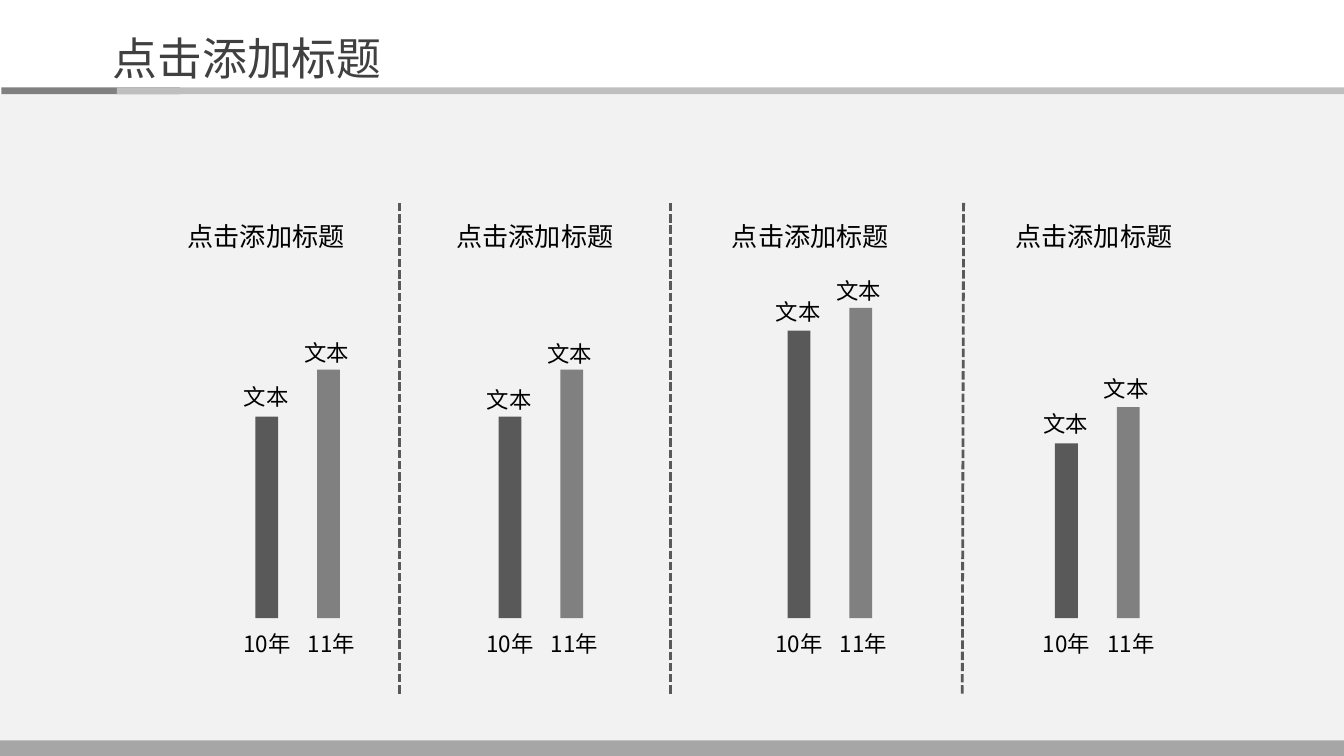
import pptx
import pptx.util
import pptx.dml.color
import pptx.enum.dml
import pptx.enum.shapes
import pptx.enum.text
import lxml.etree
from pptx.oxml.ns import qn

Inches = pptx.util.Inches
Pt = pptx.util.Pt
ALIGN = pptx.enum.text.PP_ALIGN
ANCHOR = pptx.enum.text.MSO_ANCHOR

HEADING = "点击添加标题"
BANDS = [
    (0, 0.7, 10, 4.92, "F2F2F2"),
    (0.01, 0.65, 1.33, 0.05, "808080"),
    (0.87, 0.65, 9.13, 0.05, "BFBFBF"),
    (-0.02, 5.51, 10.04, 0.12, "A6A6A6"),
]
DIVIDERS = [(4.99, 4.99), (7.17, 7.16), (2.97, 2.97)]
DIVIDER_TOP, DIVIDER_BOTTOM = 1.51, 5.17
SERIES = [("10年", "595959", 0.32), ("11年", "808080", 0.33)]
PANELS = [
    {"title": "点击添加标题", "left": 0.99, "bars": 1.9,
     "values": [("文本", 1.5, 2.8), ("文本", 1.85, 2.47)]},
    {"title": "点击添加标题", "left": 2.99, "bars": 3.71,
     "values": [("文本", 1.5, 2.82), ("文本", 1.85, 2.48)]},
    {"title": "点击添加标题", "left": 5.04, "bars": 5.86,
     "values": [("文本", 2.14, 2.17), ("文本", 2.31, 2.01)]},
    {"title": "点击添加标题", "left": 7.15, "bars": 7.85,
     "values": [("文本", 1.3, 3), ("文本", 1.57, 2.74)]},
]
BASELINE, BAR_WIDTH, BAR_STEP = 4.6, 0.17, 0.46
LABEL_WIDTH, YEAR_WIDTH, LABEL_HEIGHT = 0.8, 0.57, 0.3
YEAR_TOP, YEAR_SHIFT, YEAR_STEP = 4.64, 0.2, 0.48

HEADING_FONT = {"size": Pt(24), "name": "Noto Sans CJK JP"}
PANEL_FONT = {"size": Pt(14), "name": "Noto Sans CJK SC"}
LABEL_FONT = {"size": Pt(12), "name": "Noto Sans CJK SC"}
GROW = {"auto_size": pptx.enum.text.MSO_AUTO_SIZE.SHAPE_TO_FIT_TEXT}
HEADING_FRAME = {**GROW, "word_wrap": False, "vertical_anchor": ANCHOR.TOP}
PANEL_FRAME = {**GROW, "word_wrap": True, "vertical_anchor": ANCHOR.TOP}
LABEL_FRAME = {**GROW, "word_wrap": True, "vertical_anchor": ANCHOR.MIDDLE}


def colour(value):
    return pptx.dml.color.RGBColor.from_string(value)


def apply(target, formats):
    for name, value in formats.items():
        setattr(target, name, value)


def add_bar(shapes, left, top, width, height, fill):
    bar = shapes.add_shape(pptx.enum.shapes.MSO_SHAPE.RECTANGLE,
                           *map(Inches, (left, top, width, height)))
    bar.shadow.inherit = False
    bar.fill.solid()
    bar.fill.fore_color.rgb = colour(fill)
    bar.line.fill.background()


def add_label(shapes, text, place, frame_format, font_format,
              align=ALIGN.CENTER, ink="000000"):
    frame = shapes.add_textbox(*map(Inches, place)).text_frame
    apply(frame, frame_format)
    paragraph = frame.paragraphs[0]
    paragraph.alignment = align
    run = paragraph.add_run()
    run.text = text
    apply(run.font, font_format)
    run.font.color.rgb = colour(ink)
    east_asian = lxml.etree.SubElement(run.font._element, qn("a:ea"))
    east_asian.set("typeface", font_format["name"])


def add_divider(shapes, top_x, bottom_x):
    divider = shapes.add_connector(
        pptx.enum.shapes.MSO_CONNECTOR.STRAIGHT,
        *map(Inches, (top_x, DIVIDER_TOP, bottom_x, DIVIDER_BOTTOM)))
    divider.line.color.rgb = colour("595959")
    apply(divider.line, {"width": Pt(1.5),
                         "dash_style": pptx.enum.dml.MSO_LINE.SQUARE_DOT})
    lxml.etree.SubElement(divider._element.spPr, qn("a:effectLst"))


def add_panel(slide, panel):
    shapes = slide.shapes.add_group_shape().shapes
    add_label(shapes, panel["title"], (panel["left"], 1.59, 1.98, 0.34),
              PANEL_FRAME, PANEL_FONT)
    for index, ((year, fill, label_shift), (label, height, label_top)) in enumerate(
            zip(SERIES, panel["values"])):
        left = panel["bars"] + index * BAR_STEP
        year_left = panel["bars"] - YEAR_SHIFT + index * YEAR_STEP
        add_bar(shapes, left, BASELINE - height, BAR_WIDTH, height, fill)
        add_label(shapes, label,
                  (left - label_shift, label_top, LABEL_WIDTH, LABEL_HEIGHT),
                  LABEL_FRAME, LABEL_FONT)
        add_label(shapes, year, (year_left, YEAR_TOP, YEAR_WIDTH, LABEL_HEIGHT),
                  LABEL_FRAME, LABEL_FONT)


def main():
    deck = pptx.Presentation()
    apply(deck, {"slide_width": Inches(10), "slide_height": Inches(10) * 9 // 16})
    slide = deck.slides.add_slide(deck.slide_layouts[6])
    for band in BANDS:
        add_bar(slide.shapes, *band)
    for divider in DIVIDERS:
        add_divider(slide.shapes, *divider)
    for panel in PANELS:
        add_panel(slide, panel)
    add_label(slide.shapes, HEADING, (0.74, 0.18, 2.22, 0.51),
              HEADING_FRAME, HEADING_FONT, ALIGN.LEFT, "404040")
    deck.save("out.pptx")


if __name__ == "__main__":
    main()
